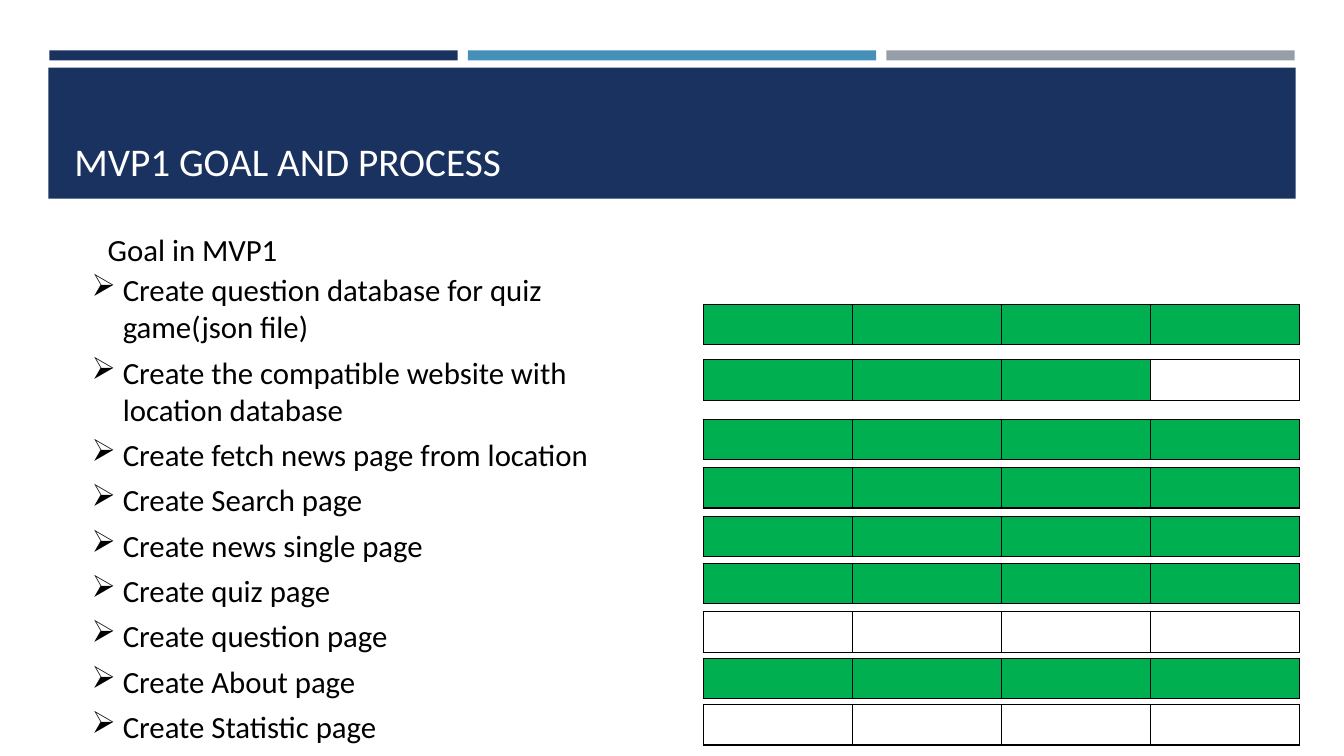
from lxml import etree
from pptx import Presentation
from pptx.dml.color import RGBColor
from pptx.enum.shapes import MSO_SHAPE
from pptx.enum.text import MSO_ANCHOR
from pptx.oxml.ns import qn
from pptx.util import Inches, Pt

RECTANGLE = MSO_SHAPE.RECTANGLE
TOP, BOTTOM = MSO_ANCHOR.TOP, MSO_ANCHOR.BOTTOM

NAVY = RGBColor(0x1A, 0x32, 0x60)
BLUE = RGBColor(0x45, 0x90, 0xB8)
GREY = RGBColor(0x96, 0x9F, 0xA7)
GREEN = RGBColor(0x00, 0xB0, 0x50)
WHITE = RGBColor(0xFF, 0xFF, 0xFF)
BLACK = RGBColor(0x00, 0x00, 0x00)

STEPS = 4
# Goal, top of its progress bar, steps done
GOALS = [
    ("Create question database for quiz game(json file)", 3.02, 4),
    ("Create the compatible website with location database", 3.57, 3),
    ("Create fetch news page from location", 4.16, 4),
    ("Create Search page", 4.64, 4),
    ("Create news single page", 5.12, 4),
    ("Create quiz page", 5.59, 4),
    ("Create question page", 6.07, 0),
    ("Create About page", 6.53, 4),
    ("Create Statistic page", 6.99, 0),
]


class SlideBuilder:
    font_name = "Calibri"
    bullet = "\u27a2"
    bullet_indent = Inches(0.31)

    def __init__(self, slide):
        self.slide = slide

    def bar(self, left, top, width, height, color):
        shape = self.slide.shapes.add_shape(
            RECTANGLE, Inches(left), Inches(top), Inches(width), Inches(height))
        shape.shadow.inherit = False
        shape.fill.solid()
        shape.fill.fore_color.rgb = color
        shape.line.fill.background()

    def text(self, left, top, width, height, lines, size=22, color=BLACK,
             anchor=TOP, bulleted=False):
        box = self.slide.shapes.add_textbox(
            Inches(left), Inches(top), Inches(width), Inches(height))
        frame = box.text_frame
        frame.word_wrap = True
        frame.vertical_anchor = anchor
        frame.text = "\n".join(lines)
        for paragraph in frame.paragraphs:
            paragraph.font.name = self.font_name
            paragraph.font.size = Pt(size)
            paragraph.font.color.rgb = color
            if bulleted:
                paragraph.space_before = Pt(6)
                self.add_bullet(paragraph)

    def add_bullet(self, paragraph):
        properties = paragraph._p.get_or_add_pPr()
        properties.set("marL", str(self.bullet_indent))
        properties.set("indent", str(-self.bullet_indent))
        mark = etree.Element(qn("a:buChar"), char=self.bullet)
        properties.find(qn("a:defRPr")).addprevious(mark)

    def progress(self, left, top, width, height, done):
        table = self.slide.shapes.add_table(
            1, STEPS, Inches(left), Inches(top), Inches(width), Inches(height)).table
        for step, cell in enumerate(table.iter_cells()):
            cell.margin_top = cell.margin_bottom = Inches(0.02)
            self.add_borders(cell)
            cell.fill.solid()
            cell.fill.fore_color.rgb = GREEN if step < done else WHITE

    def add_borders(self, cell):
        properties = cell._tc.get_or_add_tcPr()
        for side in ("a:lnL", "a:lnR", "a:lnT", "a:lnB"):
            line = etree.SubElement(properties, qn(side), w=str(Pt(1)))
            fill = etree.SubElement(line, qn("a:solidFill"))
            etree.SubElement(fill, qn("a:srgbClr"), val=str(BLACK))


presentation = Presentation()
presentation.slide_width = Inches(13.33)
presentation.slide_height = Inches(7.5)
blank_layout = presentation.slide_layouts[6]
builder = SlideBuilder(presentation.slides.add_slide(blank_layout))

# Header stripes and title band
for column, color in enumerate((NAVY, BLUE, GREY)):
    builder.bar(0.49 + 4.15 * column, 0.5, 4.05, 0.1, color)
builder.bar(0.48, 0.67, 12.37, 1.3, NAVY)
builder.text(0.64, 0.77, 12.06, 1.11, ["MVP1 GOAL AND PROCESS"],
             size=28, color=WHITE, anchor=BOTTOM)

# Goal list
builder.text(0.97, 2.24, 5.07, 0.47, ["Goal in MVP1"])
builder.text(0.81, 2.64, 5.9, 5.22, [goal for goal, _, _ in GOALS], bulleted=True)

# Progress bars
for _, top, done in GOALS:
    builder.progress(6.98, top, 5.91, 0.4, done)

presentation.save("out.pptx")
